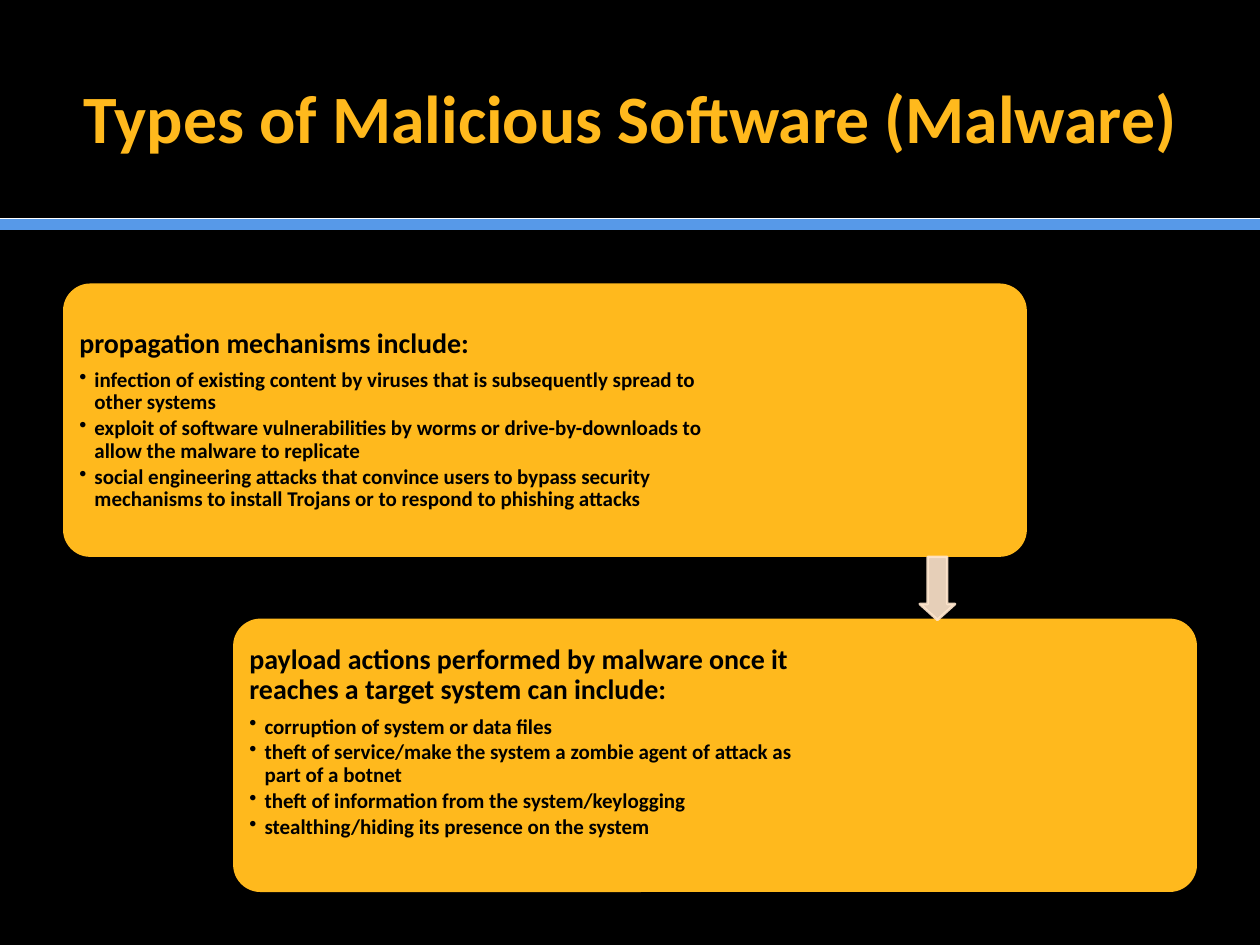
from lxml.etree import SubElement
from pptx import Presentation
from pptx.dml.color import RGBColor
from pptx.enum.shapes import MSO_CONNECTOR, MSO_SHAPE
from pptx.enum.text import MSO_ANCHOR, MSO_AUTO_SIZE, PP_ALIGN
from pptx.oxml.ns import qn
from pptx.util import Inches, Pt

COLORS = {"background": "000000", "gold": "FFB91D", "text": "000000",
          "blue": "5799E8", "white": "FFFFFF", "arrow": "FFE6CD"}
FONT = "Calibri"
CARD_WIDTH, CARD_HEIGHT, CARD_PAD, TEXT_INSET = 7.65, 2.17, 0.06, 0.07

# left, top, text width, space left free under the text, heading, bullets
CARDS = [
    (0.5, 2.25, 5.4, 0, "propagation mechanisms include:", [
        "infection of existing content by viruses that is subsequently "
        "spread to other systems",
        "exploit of software vulnerabilities by worms or drive-by-downloads "
        "to allow the malware to replicate",
        "social engineering attacks that convince users to bypass security "
        "mechanisms to install Trojans or to respond to phishing attacks",
    ]),
    (1.85, 4.91, 4.76, 0.21,
     "payload actions performed by malware once it reaches a target system "
     "can include:", [
         "corruption of system or data files",
         "theft of service/make the system a zombie agent of attack as part "
         "of a botnet",
         "theft of information from the system/keylogging",
         "stealthing/hiding its presence on the system",
     ]),
]


def rgb(name):
    return RGBColor.from_string(COLORS[name])


def style_font(paragraph, size, color):
    for run in paragraph.runs:
        run.font.name = FONT
        run.font.size = Pt(size)
        run.font.bold = True
        run.font.color.rgb = rgb(color)


def set_alpha(fill_owner, percent):
    for color in fill_owner.findall(f"{qn('a:solidFill')}/{qn('a:srgbClr')}"):
        SubElement(color, qn("a:alpha")).set("val", str(percent * 1000))


def add_title(slide, text):
    title = slide.shapes.title
    title.left, title.top = Inches(0.5), Inches(0.3)
    title.width, title.height = Inches(9), Inches(1.25)
    frame = title.text_frame
    frame.text = text
    frame.auto_size = MSO_AUTO_SIZE.NONE
    frame.vertical_anchor = MSO_ANCHOR.MIDDLE
    frame.paragraphs[0].alignment = PP_ALIGN.CENTER
    style_font(frame.paragraphs[0], 38.7, "gold")


def add_rule(slide, y, color, width):
    rule = slide.shapes.add_connector(
        MSO_CONNECTOR.STRAIGHT, Inches(0), Inches(y), Inches(10), Inches(y))
    rule.line.color.rgb = rgb(color)
    rule.line.width = Pt(width)
    SubElement(rule._element.spPr, qn("a:effectLst"))


def add_shape(slide, kind, left, top, width, height, color, adjustments):
    shape = slide.shapes.add_shape(
        kind, Inches(left), Inches(top), Inches(width), Inches(height))
    shape.shadow.inherit = False
    shape.fill.solid()
    shape.fill.fore_color.rgb = rgb(color)
    shape.line.fill.background()
    for index, value in enumerate(adjustments):
        shape.adjustments[index] = value
    return shape


def make_bullet(paragraph):
    properties = paragraph._p.get_or_add_pPr()
    indent = Inches(0.12)
    properties.set("marL", str(indent))
    properties.set("indent", str(-indent))
    SubElement(properties, qn("a:buChar")).set("char", "•")


def add_card(slide, left, top, text_width, free_below, heading, bullets):
    add_shape(slide, MSO_SHAPE.ROUNDED_RECTANGLE, left, top,
              CARD_WIDTH, CARD_HEIGHT, "gold", [0.1])
    box = slide.shapes.add_textbox(
        Inches(left + CARD_PAD), Inches(top + CARD_PAD),
        Inches(text_width), Inches(CARD_HEIGHT - 2 * CARD_PAD))
    frame = box.text_frame
    frame.word_wrap = True
    frame.vertical_anchor = MSO_ANCHOR.MIDDLE
    frame.margin_left = frame.margin_right = Inches(TEXT_INSET)
    frame.margin_top = Inches(TEXT_INSET)
    frame.margin_bottom = Inches(TEXT_INSET + free_below)

    title = frame.paragraphs[0]
    title.text = heading
    title.line_spacing = 0.9
    title.space_after = Pt(5.6)
    style_font(title, 16, "text")
    for bullet in bullets:
        item = frame.add_paragraph()
        item.text = bullet
        item.level = 1
        item.line_spacing = 0.9
        item.space_after = Pt(1.8)
        make_bullet(item)
        style_font(item, 12, "text")


def add_down_arrow(slide):
    arrow = add_shape(slide, MSO_SHAPE.DOWN_ARROW, 7.3, 4.42, 0.28, 0.5,
                      "arrow", [0.55, 0.45])
    # The first adjustment is the shaft width, the second the head length
    arrow.line.color.rgb = rgb("arrow")
    arrow.line.width = Pt(1.5)
    properties = arrow._element.spPr
    set_alpha(properties, 90)
    set_alpha(properties.find(qn("a:ln")), 90)


def main():
    deck = Presentation()
    deck.slide_width, deck.slide_height = Inches(10), Inches(7.5)
    slide = deck.slides.add_slide(deck.slide_layouts[5])
    slide.background.fill.solid()
    slide.background.fill.fore_color.rgb = rgb("background")

    # Header with its double rule
    add_rule(slide, 1.78, "blue", 7)
    add_rule(slide, 1.73, "white", 0.5)
    add_title(slide, "Types of Malicious Software (Malware)")

    # Two stepped cards joined by an arrow
    for card in CARDS:
        add_card(slide, *card)
    add_down_arrow(slide)

    deck.save("out.pptx")


if __name__ == "__main__":
    main()
